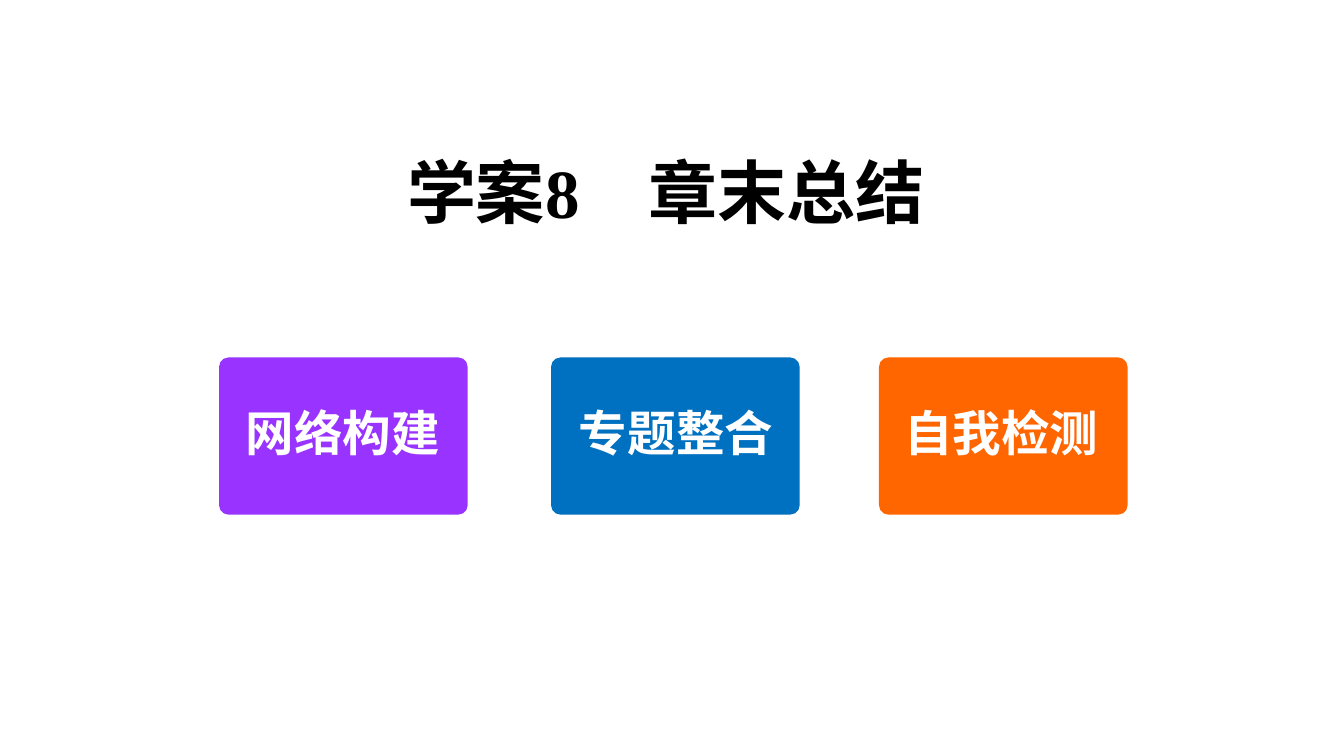
"""Build the chapter summary slide with its title and three section buttons."""
from lxml.etree import SubElement
from pptx import Presentation
from pptx.dml.color import RGBColor
from pptx.enum.shapes import MSO_SHAPE as Shape
from pptx.enum.text import MSO_AUTO_SIZE as AutoSize, PP_ALIGN as Align
from pptx.oxml.ns import qn
from pptx.util import Inches, Pt

HAN_FONT = "Noto Sans CJK SC"


def color(value):
    return RGBColor.from_string(value)


def add_text(page, left, top, width, height, text, size, font, ink):
    box = page.shapes.add_textbox(Inches(left), Inches(top), Inches(width), Inches(height))
    box.text_frame.word_wrap = True
    box.text_frame.auto_size = AutoSize.SHAPE_TO_FIT_TEXT
    para = box.text_frame.paragraphs[0]
    span = para.add_run()
    span.text = text
    span.font.size = Pt(size)
    span.font.bold = True
    span.font.color.rgb = color(ink)
    span.font.name = font
    SubElement(span.font._element, qn("a:ea"), typeface=HAN_FONT)
    return para


deck = Presentation()
deck.slide_width = Inches(10)
deck.slide_height = Inches(10 * 9 / 16)
page = deck.slides.add_slide(deck.slide_layouts[6])

title = add_text(page, 2.58, 1.19, 6.09, 0.59, "学案8　章末总结",
                 37, "Times New Roman", "000000")
title.alignment = Align.JUSTIFY
title.line_spacing = Pt(35)
title._p.get_or_add_pPr().set("indent", str(Inches(0.35)))

sections = [
    (1.63, 1.73, "9933FF", "网络构建"),
    (4.1, 4.21, "0070C0", "专题整合"),
    (6.54, 6.63, "FF6600", "自我检测"),
]
for left, label_left, fill, label in sections:
    button = page.shapes.add_shape(Shape.ROUNDED_RECTANGLE, Inches(left), Inches(2.66),
                                   Inches(1.85), Inches(1.17))
    button.adjustments[0] = 0.06
    button.shadow.inherit = False
    button.fill.solid()
    button.fill.fore_color.rgb = color(fill)
    button.line.fill.background()
    add_text(page, label_left, 2.95, 2.03, 0.54, label, 26, HAN_FONT, "FFFFFF")

deck.save("out.pptx")
